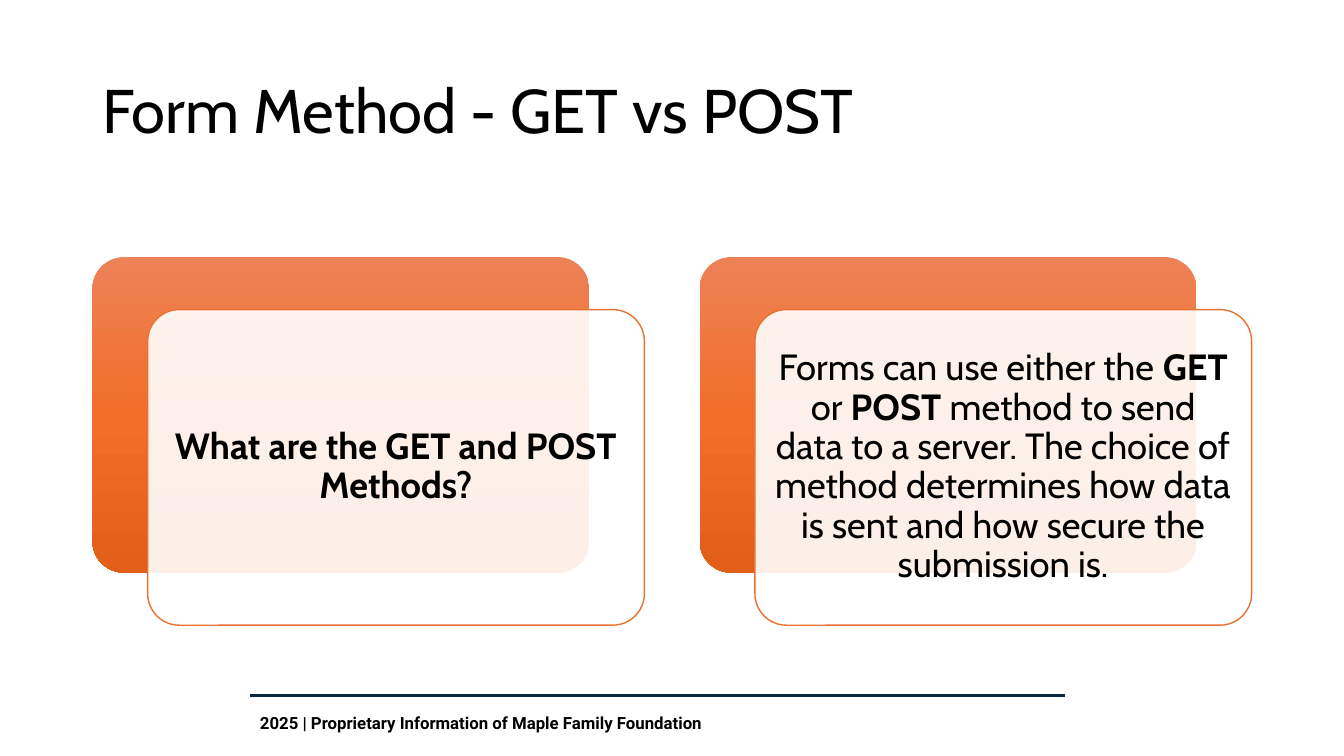
from copy import deepcopy

from lxml.etree import SubElement
from pptx import Presentation
from pptx.dml.color import RGBColor
from pptx.enum.shapes import MSO_CONNECTOR, MSO_SHAPE
from pptx.enum.text import MSO_ANCHOR, PP_ALIGN
from pptx.oxml.ns import qn
from pptx.util import Inches, Pt

BLACK = RGBColor(0x00, 0x00, 0x00)
WHITE = RGBColor(0xFF, 0xFF, 0xFF)
NAVY = RGBColor(0x0E, 0x28, 0x41)
ORANGE = RGBColor(0xE9, 0x71, 0x32)
ORANGE_FADE = [
    (0, RGBColor(0xED, 0x82, 0x57)),
    (0.5, RGBColor(0xF2, 0x6E, 0x29)),
    (1, RGBColor(0xE2, 0x5F, 0x1A)),
]


class SlideBuilder:
    """Draws on one slide; positions are percentages of its width and height."""

    heading_font = "Cabin"
    footer_font = "Roboto"

    def __init__(self, deck):
        self.width, self.height = deck.slide_width, deck.slide_height
        self.shapes = deck.slides.add_slide(deck.slide_layouts[6]).shapes

    def place(self, x, y):
        return round(self.width * x / 100), round(self.height * y / 100)

    def box(self, left, top, width, height):
        return *self.place(left, top), *self.place(width, height)

    def set_text(self, frame, runs, size, font, bold=None, inset=0.1):
        """Fill a frame with one paragraph of (text, bold) runs."""
        frame.word_wrap = True
        frame.margin_left = frame.margin_right = Inches(inset)
        frame.margin_top = frame.margin_bottom = Inches(inset)
        paragraph = frame.paragraphs[0]
        paragraph.font.size = Pt(size)
        paragraph.font.name = font
        paragraph.font.color.rgb = BLACK
        paragraph.font.bold = bold
        for text, emphasis in runs:
            run = paragraph.add_run()
            run.text = text
            if emphasis:
                run.font.bold = True
        return paragraph

    def title(self, text, *area):
        frame = self.shapes.add_textbox(*self.box(*area)).text_frame
        frame.vertical_anchor = MSO_ANCHOR.MIDDLE
        heading = self.set_text(frame, [(text, False)], 44, self.heading_font)
        heading.line_spacing = 0.9

    def footer(self, text, *area):
        frame = self.shapes.add_textbox(*self.box(*area)).text_frame
        self.set_text(frame, [(text, False)], 12, self.footer_font, bold=True)

    def rule(self, left, right, y):
        line = self.shapes.add_connector(
            MSO_CONNECTOR.STRAIGHT, *self.place(left, y), *self.place(right, y))
        line.line.color.rgb = NAVY
        line.line.width = Pt(1.5)
        SubElement(line._element.spPr, qn("a:effectLst"))

    def rounded(self, *area):
        panel = self.shapes.add_shape(MSO_SHAPE.ROUNDED_RECTANGLE, *self.box(*area))
        panel.adjustments[0] = 0.1
        panel.shadow.inherit = False
        return panel

    def backdrop(self, *area):
        panel = self.rounded(*area)
        panel.line.fill.background()
        panel.fill.gradient()
        panel.fill.gradient_angle = 270
        # The default gradient has two stops; add the middle one
        stop_list = panel._element.spPr.find(".//" + qn("a:gsLst"))
        stop_list.insert(1, deepcopy(stop_list[0]))
        for stop, (position, color) in zip(panel.fill.gradient_stops, ORANGE_FADE):
            stop.position = position
            stop.color.rgb = color

    def card(self, runs, *area):
        panel = self.rounded(*area)
        panel.fill.solid()
        panel.fill.fore_color.rgb = WHITE
        white = panel._element.spPr.find(qn("a:solidFill"))[0]
        SubElement(white, qn("a:alpha"), val="90000")
        panel.line.color.rgb = ORANGE
        panel.line.width = Pt(1)
        panel.text_frame.vertical_anchor = MSO_ANCHOR.MIDDLE
        message = self.set_text(panel.text_frame, runs, 26, self.heading_font, inset=0.11)
        message.alignment = PP_ALIGN.CENTER
        message.line_spacing = 0.9


QUESTION = [("What are the GET and POST Methods?", True)]
ANSWER = [
    ("Forms can use either the ", False),
    ("GET", True),
    (" or ", False),
    ("POST", True),
    (" method to send data to a server. The choice of method determines "
     "how data is sent and how secure the submission is.", False),
]

CARD_LEFT, CARD_TOP = 6.88, 34
CARD_SIZE = (36.96, 41.75)
CARD_PITCH = 45.18
SHIFT_X, SHIFT_Y = 4.11, 6.95


def main():
    deck = Presentation()
    deck.slide_width, deck.slide_height = Inches(13.33), Inches(7.5)
    slide = SlideBuilder(deck)

    # Footer
    slide.footer("2025 | Proprietary Information of Maple Family Foundation",
                 18.6, 92.93, 60.68, 5.73)
    slide.rule(18.6, 79.28, 92)

    # Title
    slide.title("Form Method - GET vs POST", CARD_LEFT, 5.33, 86.25, 19.33)

    # Question and answer cards, each shifted over its backdrop
    for column, runs in enumerate([QUESTION, ANSWER]):
        left = CARD_LEFT + column * CARD_PITCH
        slide.backdrop(left, CARD_TOP, *CARD_SIZE)
        slide.card(runs, left + SHIFT_X, CARD_TOP + SHIFT_Y, *CARD_SIZE)

    deck.save("out.pptx")


if __name__ == "__main__":
    main()
